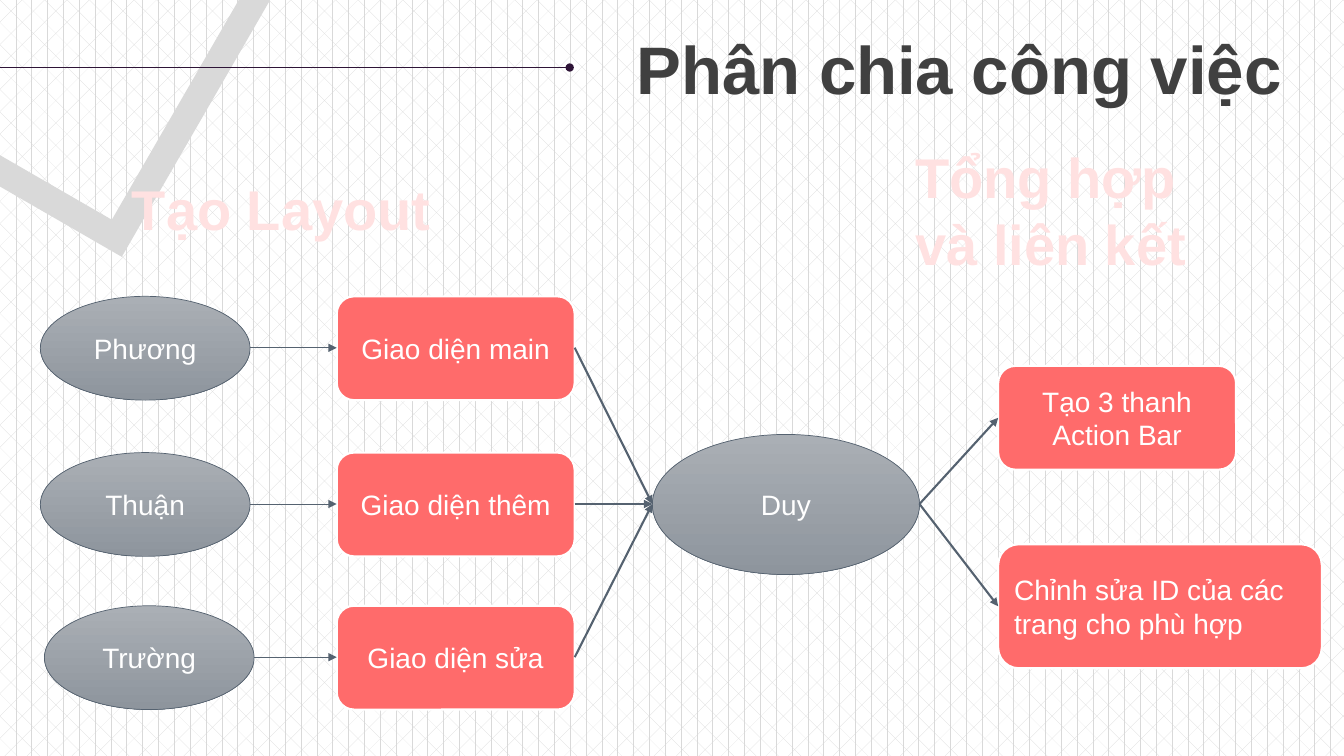
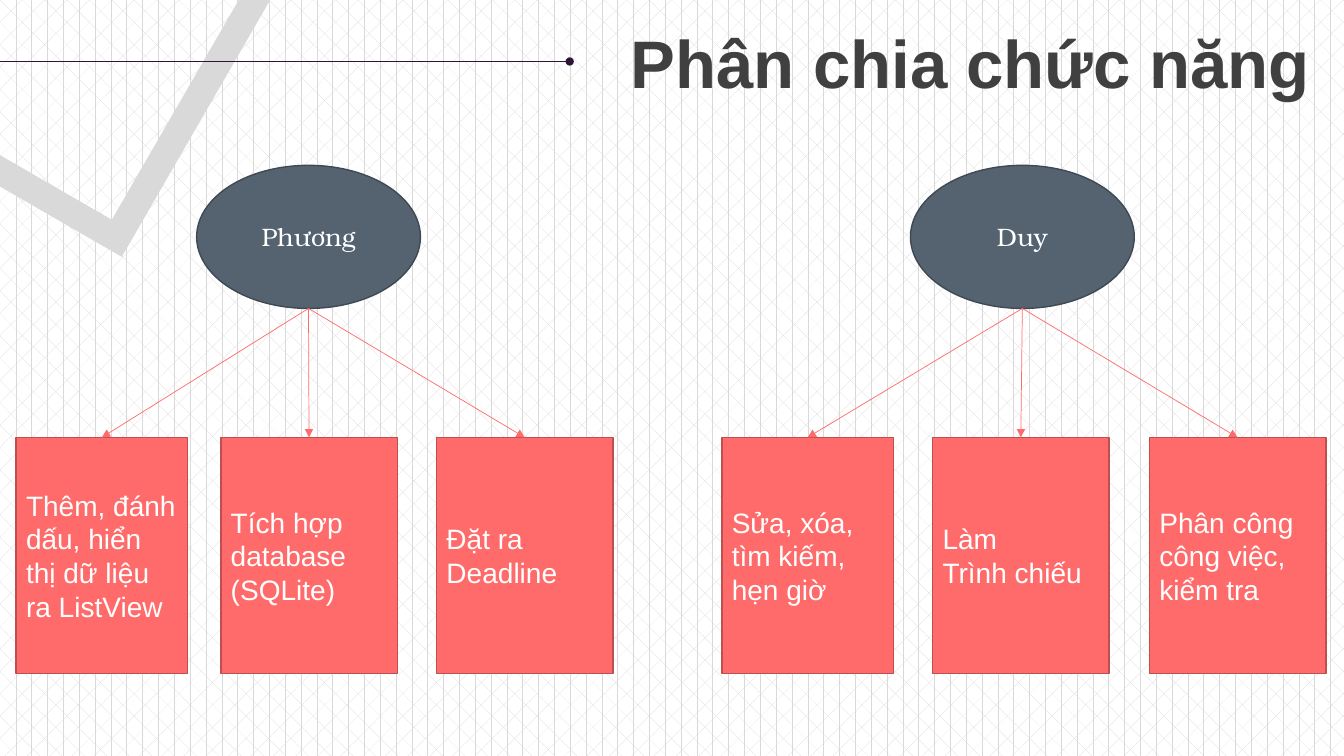
from lxml import etree
from pptx import Presentation
from pptx.dml.color import RGBColor
from pptx.enum.dml import MSO_PATTERN
from pptx.enum.shapes import MSO_CONNECTOR, MSO_SHAPE
from pptx.enum.text import MSO_ANCHOR, MSO_AUTO_SIZE, PP_ALIGN
from pptx.oxml import parse_xml
from pptx.oxml.ns import nsdecls, qn
from pptx.util import Inches, Pt

OVAL, ROUND, RECT = MSO_SHAPE.OVAL, MSO_SHAPE.ROUNDED_RECTANGLE, MSO_SHAPE.RECTANGLE
STRAIGHT = MSO_CONNECTOR.STRAIGHT
LEFT, CENTER, RIGHT = PP_ALIGN.LEFT, PP_ALIGN.CENTER, PP_ALIGN.RIGHT
TOP, MIDDLE = MSO_ANCHOR.TOP, MSO_ANCHOR.MIDDLE
NO_FIT = MSO_AUTO_SIZE.NONE

HEX = {
    "white": "FFFFFF", "light gray": "D9D9D9", "title": "404040", "purple": "2E1437",
    "coral": "FF6B6B", "dark coral": "BD4F4F", "pale coral": "FFE1E1",
    "slate": "556270", "dark slate": "3F4953",
    "gradient top": "AAAFB5", "gradient bottom": "8E959D",
}
COLORS = {name: RGBColor.from_string(value) for name, value in HEX.items()}


def add_text(sp, text, size=20, color="white", font="Arial", bold=False, align=CENTER,
             anchor=MIDDLE, wrap=True, fill=None, line=None, line_width=1.0, heading=False):
    """Write one paragraph per line of text into a shape and format both."""
    if fill:
        sp.shadow.inherit = False
        if fill == "gradient":
            sp.fill.gradient()
            sp.fill.gradient_angle = 270
            for stop, name in zip(sp.fill.gradient_stops, ("gradient top", "gradient bottom")):
                stop.color.rgb = COLORS[name]
            sp.fill.gradient_stops[0].position = 0
            sp.fill.gradient_stops[1].position = 1
        else:
            sp.fill.solid()
            sp.fill.fore_color.rgb = COLORS[fill]
        sp.line.color.rgb = COLORS[line]
        sp.line.width = Pt(line_width)
    tf = sp.text_frame
    tf.word_wrap = wrap
    tf.auto_size = NO_FIT
    tf.vertical_anchor = anchor
    for i, words in enumerate(text.split("\n")):
        p = tf.add_paragraph() if i else tf.paragraphs[0]
        p.alignment = align
        r = p.add_run()
        r.text = words
        r.font.size, r.font.name, r.font.bold = Pt(size), font, bold
        if heading:
            r.font.fill.patterned()
            r.font.fill.pattern = MSO_PATTERN.PERCENT_50
            r.font.fill.fore_color.rgb = COLORS["coral"]
            r.font.fill.back_color.rgb = COLORS["pale coral"]
            r.font._element.insert(0, parse_xml(
                f'<a:ln {nsdecls("a")} w="12700"><a:solidFill>'
                f'<a:srgbClr val="{HEX["coral"]}"/></a:solidFill></a:ln>'))
        else:
            r.font.color.rgb = COLORS[color]


def add_line(s, start, end, color, width=0.5, tail="triangle"):
    """Draw a straight line in inches with a mark at its end."""
    cxn = s.shapes.add_connector(STRAIGHT, *map(Inches, start + end))
    cxn.line.color.rgb = COLORS[color]
    cxn.line.width = Pt(width)
    etree.SubElement(cxn.line._get_or_add_ln(), qn("a:tailEnd"), type=tail)
    etree.SubElement(cxn.element.spPr, qn("a:effectLst"))


prs = Presentation()
prs.slide_width, prs.slide_height = Inches(13.33), Inches(7.5)
layout = prs.slide_layouts[5]

# Shared background
bg = layout.background.fill
bg.patterned()
bg.pattern = MSO_PATTERN.DIVOT
bg.fore_color.rgb = COLORS["light gray"]
bg.back_color.rgb = COLORS["white"]

# Slides with title and title line
slides = []
for title, left, top, width in (("Phân chia công việc", 6.13, 0.22, 6.69),
                                ("Phân chia chức năng", 6.08, 0.16, 7.02)):
    s = prs.slides.add_slide(layout)
    sp = s.shapes.title
    sp.left, sp.top, sp.width, sp.height = map(Inches, (left, top, width, 0.91))
    add_text(sp, title, size=48, color="title", bold=True, align=RIGHT, wrap=False)
    add_line(s, (0, top + 0.45), (5.65, top + 0.45), "purple", tail="oval")
    slides.append(s)
work, functions = slides

# Corner frame, moved to the layout so both slides share it
frame = work.shapes.add_shape(MSO_SHAPE.FRAME, *map(Inches, (-1.21, -1.64, 3.54, 3.54)))
frame.adjustments[0] = 0.076
frame.rotation = 30
frame.shadow.inherit = False
frame.fill.solid()
frame.fill.fore_color.rgb = COLORS["light gray"]
frame.line.fill.background()
layout.shapes.element.insert(2, frame.element)

# Slide 1: headings
for text, box in (("Tạo Layout", (1.21, 1.68, 3.22, 0.77)),
                  ("Tổng hợp\nvà liên kết", (8.98, 1.36, 3.76, 1.45))):
    sp = work.shapes.add_textbox(*map(Inches, box))
    add_text(sp, text, size=40, bold=True, align=LEFT, anchor=TOP, heading=True)

# Slide 1: people, tasks and the flow through the hub
person_style = dict(fill="gradient", line="slate", line_width=0.5)
task_style = dict(fill="coral", line="white", line_width=1.5)
hub_left, hub_right, hub_y = 6.47, 9.12, 5.0
sp = work.shapes.add_shape(OVAL, *map(Inches, (hub_left, 4.31, 2.65, 1.39)))
add_text(sp, "Duy", **person_style)

for person, task, left, top in (("Phương", "Giao diện main", 0.4, 2.94),
                                ("Thuận", "Giao diện thêm", 0.4, 4.49),
                                ("Trường", "Giao diện sửa", 0.44, 6.01)):
    sp = work.shapes.add_shape(OVAL, *map(Inches, (left, top, 2.08, 1.03)))
    add_text(sp, person, **person_style)
    sp = work.shapes.add_shape(ROUND, *map(Inches, (3.34, top, 2.36, 1.03)))
    add_text(sp, task, **task_style)
    y = top + 0.51
    add_line(work, (left + 2.08, y), (3.34, y), "slate")
    add_line(work, (5.7, y), (hub_left, hub_y), "slate", width=1.5)

for task, top, width, height, align in (
        ("Tạo 3 thanh Action Bar", 3.63, 2.36, 1.03, CENTER),
        ("Chỉnh sửa ID của các trang cho phù hợp", 5.4, 3.21, 1.23, LEFT)):
    sp = work.shapes.add_shape(ROUND, *map(Inches, (9.9, top, width, height)))
    add_text(sp, task, align=align, **task_style)
    add_line(work, (hub_right, hub_y), (9.9, top + height / 2), "slate", width=1.5)

# Slide 2: one tree per person
trees = (
    ("Phương", 1.95, ((0.16, 1.7, "Thêm, đánh dấu, hiển thị dữ liệu ra ListView"),
                      (2.19, 1.75, "Tích hợp database (SQLite)"),
                      (4.33, 1.75, "Đặt ra Deadline"))),
    ("Duy", 9.03, ((7.16, 1.7, "Sửa, xóa, tìm kiếm, hẹn giờ"),
                   (9.25, 1.75, "Làm\nTrình chiếu"),
                   (11.4, 1.75, "Phân công công việc, kiểm tra"))),
)
for person, person_left, tasks in trees:
    sp = functions.shapes.add_shape(OVAL, *map(Inches, (person_left, 1.64, 2.22, 1.42)))
    add_text(sp, person, size=18, font="TeX Gyre Bonum", fill="slate", line="dark slate")
    for left, width, task in tasks:
        sp = functions.shapes.add_shape(RECT, *map(Inches, (left, 4.34, width, 2.34)))
        add_text(sp, task, align=LEFT, fill="coral", line="dark coral")
        add_line(functions, (person_left + 1.11, 3.06), (left + width / 2, 4.34), "coral")

prs.save("out.pptx")
